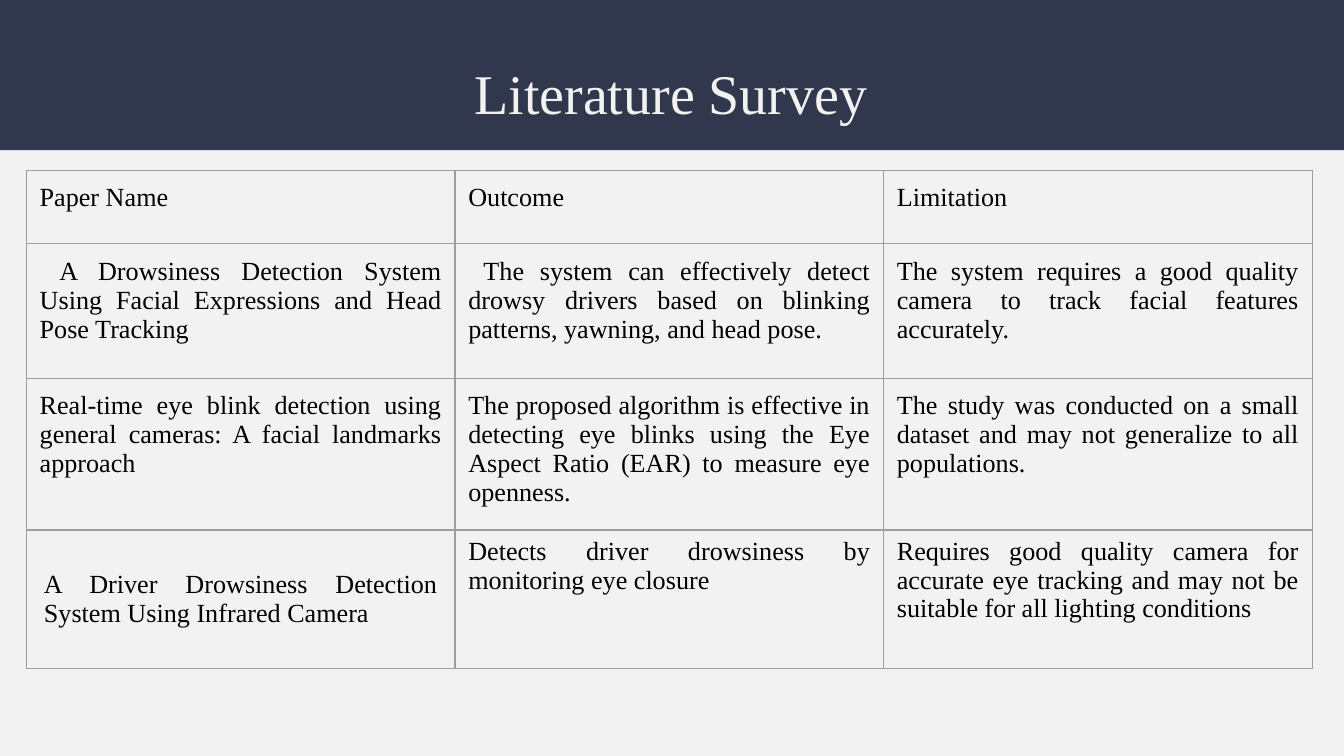
from lxml.etree import SubElement
from pptx import Presentation
from pptx.dml.color import RGBColor
from pptx.enum.shapes import MSO_SHAPE as Shape
from pptx.enum.text import MSO_ANCHOR as Anchor, PP_ALIGN as Align
from pptx.oxml.ns import qn
from pptx.util import Cm, Pt

# Content
TITLE = "Literature Survey"
PAPERS = [
    ("Paper Name", "Outcome", "Limitation"),
    (" A Drowsiness Detection System Using Facial Expressions and Head Pose Tracking",
     " The system can effectively detect drowsy drivers based on blinking patterns, "
     "yawning, and head pose.",
     "The system requires a good quality camera to track facial features accurately."),
    ("Real-time eye blink detection using general cameras: A facial landmarks approach",
     "The proposed algorithm is effective in detecting eye blinks using the Eye Aspect "
     "Ratio (EAR) to measure eye openness.",
     "The study was conducted on a small dataset and may not generalize to all populations."),
    ("A Driver Drowsiness Detection System Using Infrared Camera",
     "Detects driver drowsiness by monitoring eye closure",
     "Requires good quality camera for accurate eye tracking and may not be suitable "
     "for all lighting conditions"),
]

# Style
FONT = "Times New Roman"
NAVY = RGBColor(0x31, 0x38, 0x4D)
PALE = RGBColor(0xF2, 0xF2, 0xF2)
BLACK = RGBColor(0, 0, 0)
GRID = RGBColor(0x9E, 0x9E, 0x9E)
COLUMN_WIDTH = Cm(8.1)
ROW_HEIGHTS = [Cm(1.39), Cm(2.54), Cm(2.87), Cm(2.61)]
PADDING = Cm(0.25)
WIDE_PADDING = Cm(0.33)
SLIM_PADDING = Cm(0.13)


def write(frame, text, size=14, color=BLACK, align=Align.JUSTIFY):
    paragraph = frame.paragraphs[0]
    paragraph.alignment = align
    run = paragraph.add_run()
    run.text = text
    run.font.name = FONT
    run.font.size = Pt(size)
    run.font.color.rgb = color


def set_margins(box, side, upright):
    box.margin_left = box.margin_right = side
    box.margin_top = box.margin_bottom = upright


def outline(cell):
    properties = cell._tc.get_or_add_tcPr()
    for position, side in enumerate(("lnL", "lnR", "lnT", "lnB")):
        line = SubElement(properties, qn(f"a:{side}"), w=str(Pt(0.75)))
        fill = SubElement(line, qn("a:solidFill"))
        SubElement(fill, qn("a:srgbClr"), val=str(GRID))
        properties.insert(position, line)


deck = Presentation()
deck.slide_width, deck.slide_height = Cm(25.4), Cm(14.29)
slide = deck.slides.add_slide(deck.slide_layouts[0])
slide.background.fill.solid()
slide.background.fill.fore_color.rgb = PALE

# Header band, behind the title
band = slide.shapes.add_shape(Shape.RECTANGLE, 0, 0, deck.slide_width, Cm(2.84))
band.shadow.inherit = False
band.fill.solid()
band.fill.fore_color.rgb = NAVY
band.line.fill.background()
slide.shapes._spTree.insert(2, band._element)

# Title
subtitle = slide.placeholders[1]._element
subtitle.getparent().remove(subtitle)
title = slide.shapes.title
title.left, title.top, title.width, title.height = Cm(4.52), Cm(1.02), Cm(16.33), Cm(1.35)
set_margins(title.text_frame, 0, 0)
title.text_frame.margin_top = Cm(0.1)
title.text_frame.vertical_anchor = Anchor.MIDDLE
write(title.text_frame, TITLE, size=30, color=PALE, align=Align.CENTER)

# Survey table
columns = len(PAPERS[0])
survey = slide.shapes.add_table(len(PAPERS), columns, Cm(0.5), Cm(3.22),
                                COLUMN_WIDTH * columns, sum(ROW_HEIGHTS)).table
survey.first_row = survey.horz_banding = False
for column in survey.columns:
    column.width = COLUMN_WIDTH
for r, (paper, height) in enumerate(zip(PAPERS, ROW_HEIGHTS)):
    survey.rows[r].height = height
    in_last_row = r == len(PAPERS) - 1
    for c, text in enumerate(paper):
        cell = survey.cell(r, c)
        cell.fill.background()
        outline(cell)
        set_margins(cell, PADDING, SLIM_PADDING if in_last_row else PADDING)
        if in_last_row and c == 0:
            set_margins(cell, WIDE_PADDING, WIDE_PADDING)
            cell.vertical_anchor = Anchor.MIDDLE
        write(cell.text_frame, text)

deck.save("out.pptx")
